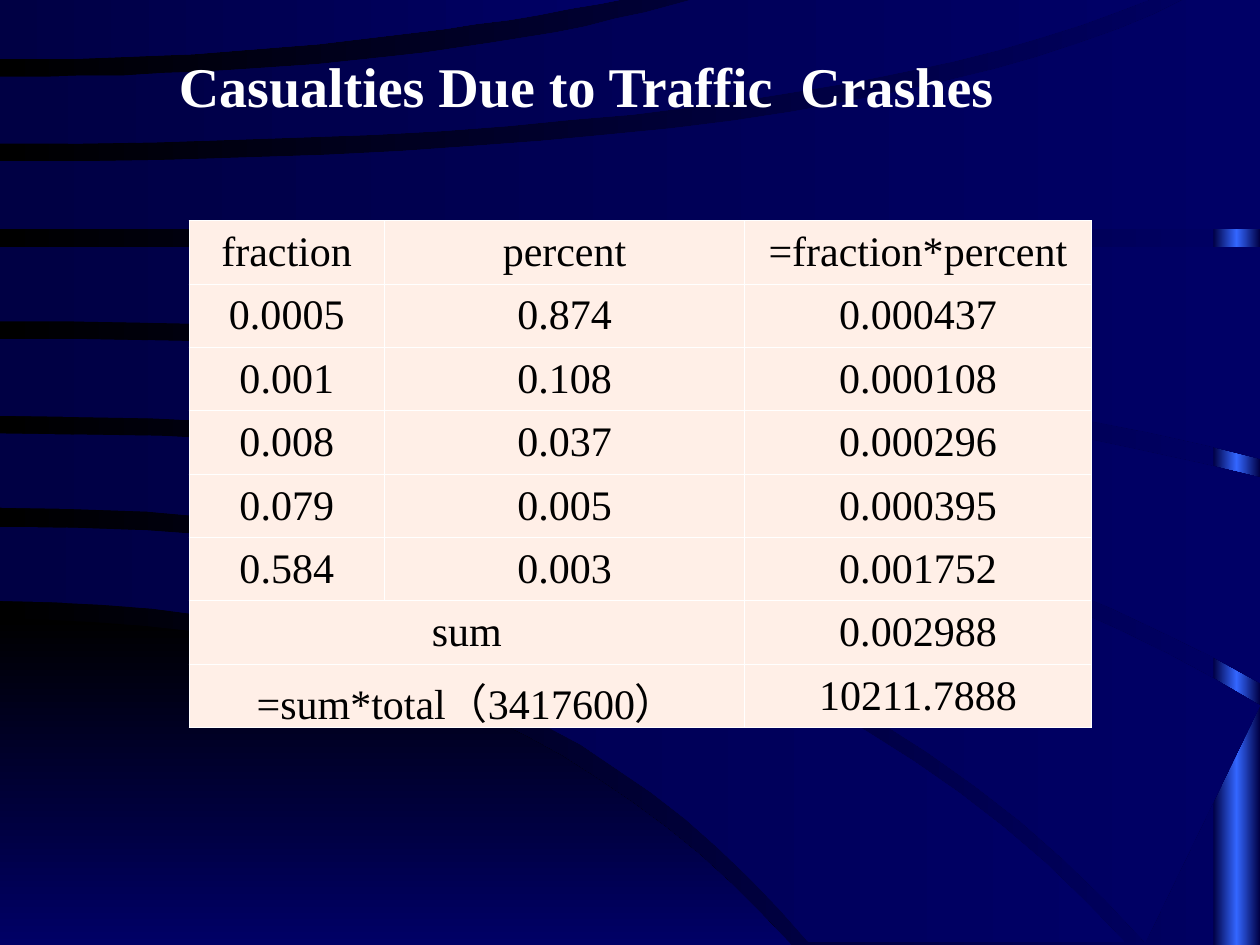
from copy import deepcopy
from dataclasses import dataclass

from lxml import etree
from pptx import Presentation
from pptx import util as u
from pptx.dml.color import RGBColor
from pptx.enum import shapes, text
from pptx.oxml.ns import qn


@dataclass(frozen=True)
class Theme:
    font: str = "Times New Roman"
    title_size: u.Pt = u.Pt(32)
    cell_size: u.Pt = u.Pt(24)
    border: u.Pt = u.Pt(0.45)
    black: str = "000000"
    white: str = "FFFFFF"
    navy: str = "000044"
    blue: str = "000066"
    bright: str = "3366FF"
    cell: str = "FFEFE7"


@dataclass(frozen=True)
class Edge:
    start_y: int
    bend_x: int
    end_x: int
    end_y: int

    def points(self, steps=20):
        for step in range(steps + 1):
            t = step / steps
            x = 2 * t * (1 - t) * self.bend_x + t * t * self.end_x
            y = self.start_y + t * t * (self.end_y - self.start_y)
            yield round(x), round(y)


THEME = Theme()
GRID = u.Cm(2.54) / 100

LOWER_CORNER = Edge(491, 397, 628, 750), Edge(750, 314, 628, 750)
BANDS = [
    (Edge(418, 593, 893, 748), Edge(477, 416, 642, 748)),
    (Edge(344, 650, 1000, 560), Edge(403, 600, 909, 748)),
    (Edge(269, 542, 1000, 379), Edge(330, 630, 1000, 542)),
    (Edge(196, 500, 1000, 196), Edge(255, 560, 1000, 364)),
    (Edge(128, 690, 943, -2), Edge(182, 500, 1000, 182)),
    (Edge(61, 340, 556, -2), Edge(114, 640, 917, -2)),
    (Edge(-2, 250, 501, -2), Edge(47, 256, 501, -2)),
]

ROWS = [
    ("fraction", "percent", "=fraction*percent"),
    ("0.0005", "0.874", "0.000437"),
    ("0.001", "0.108", "0.000108"),
    ("0.008", "0.037", "0.000296"),
    ("0.079", "0.005", "0.000395"),
    ("0.584", "0.003", "0.001752"),
    ("sum", None, "0.002988"),
    ("=sum*total（3417600）", None, "10211.7888"),
]


def fill_gradient(fill, colors, angle=0):
    fill.gradient()
    fill.gradient_angle = angle
    stop_list = fill.gradient_stops[0]._gs.getparent()
    for _ in colors[2:]:
        stop_list.append(deepcopy(stop_list[-1]))
    for index, (stop, color) in enumerate(zip(fill.gradient_stops, colors)):
        stop.position = index / (len(colors) - 1)
        stop.color.rgb = RGBColor.from_string(color)


def finish_shape(shape, colors, angle=0):
    shape.shadow.inherit = False
    shape.line.fill.background()
    fill_gradient(shape.fill, colors, angle)


def add_band(slide, edges, colors, angle=0):
    upper, lower = edges
    corner = max(upper.end_x, lower.end_x), upper.end_y
    outline = [*upper.points(), corner, *reversed(list(lower.points()))]
    builder = slide.shapes.build_freeform(*outline[0], scale=GRID)
    builder.add_line_segments(outline[1:], close=True)
    finish_shape(builder.convert_to_shape(), colors, angle)


def add_backdrop(slide):
    fill_gradient(slide.background.fill, (THEME.black, THEME.blue))
    strip = slide.shapes.add_shape(
        shapes.MSO_SHAPE.RECTANGLE, u.Cm(24.46), 0, u.Cm(0.94), u.Cm(19.05))
    finish_shape(strip, (THEME.navy, THEME.bright, THEME.navy))
    add_band(slide, LOWER_CORNER, (THEME.black, THEME.blue), 270)
    for edges in BANDS:
        add_band(slide, edges, (THEME.navy, THEME.blue))


def add_run(paragraph, words, size, color, bold=False):
    run = paragraph.add_run()
    run.text = words
    run.font.name = THEME.font
    run.font.size = size
    run.font.bold = bold
    run.font.color.rgb = RGBColor.from_string(color)


def set_title(slide, words):
    title = slide.shapes.title
    title.left, title.top = u.Cm(3.35), u.Cm(0.91)
    title.width, title.height = u.Cm(18.62), u.Cm(1.63)
    frame = title.text_frame
    frame.word_wrap = True
    frame.auto_size = text.MSO_AUTO_SIZE.SHAPE_TO_FIT_TEXT
    frame.vertical_anchor = text.MSO_ANCHOR.TOP
    paragraph = frame.paragraphs[0]
    paragraph.alignment = text.PP_ALIGN.LEFT
    paragraph.line_spacing = 1.0
    add_run(paragraph, words, THEME.title_size, THEME.white, bold=True)
    slide.shapes._spTree.append(title._element)


def format_cell(cell):
    properties = cell._tc.get_or_add_tcPr()
    for side in ("a:lnL", "a:lnR", "a:lnT", "a:lnB"):
        line = etree.SubElement(properties, qn(side), w=str(int(THEME.border)))
        solid = etree.SubElement(line, qn("a:solidFill"))
        etree.SubElement(solid, qn("a:srgbClr"), val=THEME.white)
    cell.fill.solid()
    cell.fill.fore_color.rgb = RGBColor.from_string(THEME.cell)
    cell.vertical_anchor = text.MSO_ANCHOR.MIDDLE
    cell.margin_left = cell.margin_right = u.Cm(0.03)
    cell.margin_top = cell.margin_bottom = u.Cm(0.13)


def add_casualty_table(slide):
    widths = [u.Cm(3.94), u.Cm(7.26), u.Cm(6.99)]
    table = slide.shapes.add_table(
        len(ROWS), len(widths), u.Cm(3.81), u.Cm(4.45), sum(widths), u.Cm(9.96)).table
    table.first_row = table.horz_banding = False
    for column, width in zip(table.columns, widths):
        column.width = width
    for row, values in enumerate(ROWS):
        for column, value in enumerate(values):
            cell = table.cell(row, column)
            format_cell(cell)
            if value is None:
                table.cell(row, column - 1).merge(cell)
                continue
            paragraph = cell.text_frame.paragraphs[0]
            paragraph.alignment = text.PP_ALIGN.CENTER
            add_run(paragraph, value, THEME.cell_size, THEME.black)


def main():
    presentation = Presentation()
    presentation.slide_width, presentation.slide_height = u.Cm(25.4), u.Cm(19.05)
    slide = presentation.slides.add_slide(presentation.slide_layouts[5])
    add_backdrop(slide)
    set_title(slide, "Casualties Due to Traffic  Crashes")
    add_casualty_table(slide)
    presentation.save("out.pptx")


if __name__ == "__main__":
    main()
